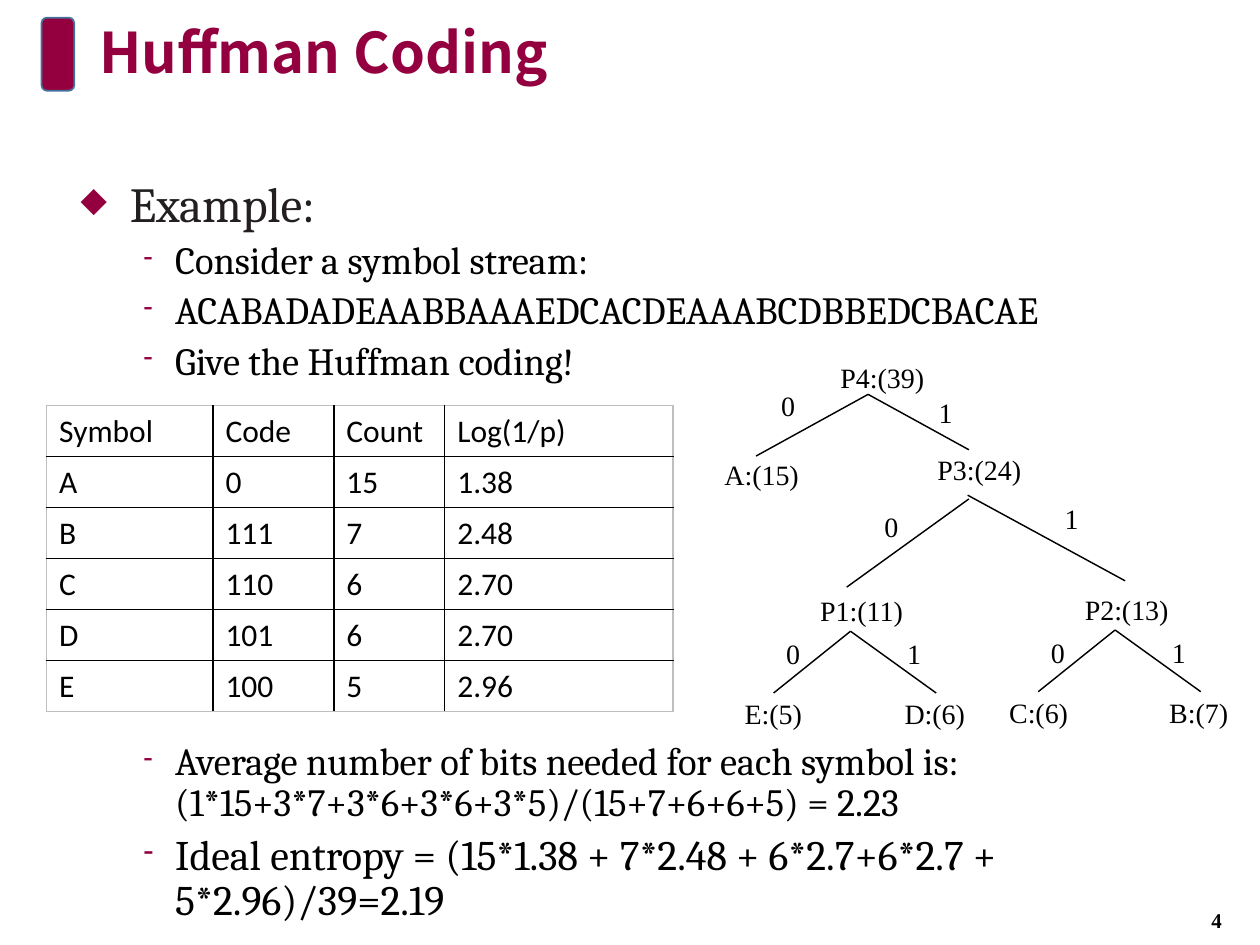
from lxml.etree import SubElement
from pptx import Presentation
from pptx.dml.color import RGBColor
from pptx.enum.shapes import MSO_CONNECTOR, MSO_SHAPE
from pptx.enum.text import MSO_ANCHOR, PP_ALIGN
from pptx.oxml import parse_xml
from pptx.oxml.ns import nsdecls, qn
from pptx.util import Inches, Pt

WINE, BLACK, GREY = "94003F", "000000", "BFBFBF"
ROMAN = "Times New Roman"
ROWS = [
    ("Symbol", "Code", "Count", "Log(1/p)"),
    ("A", "0", "15", "1.38"),
    ("B", "111", "7", "2.48"),
    ("C", "110", "6", "2.70"),
    ("D", "101", "6", "2.70"),
    ("E", "100", "5", "2.96"),
]
WIDTHS = (1.32, 0.96, 0.88, 1.81)
TASK = [
    ("Example:", 0, 28, "231F20"),
    ("Consider a symbol stream:", 1, 22, BLACK),
    ("ACABADADEAABBAAAEDCACDEAAABCDBBEDCBACAE", 1, 22, BLACK),
    ("Give the Huffman coding!", 1, 22, BLACK),
]
RESULT = [
    ("Average number of bits needed for each symbol is: "
     "(1*15+3*7+3*6+3*6+3*5)/(15+7+6+6+5) = 2.23", 1, 22, BLACK),
    ("Ideal entropy = (15*1.38 + 7*2.48 + 6*2.7+6*2.7 + 5*2.96)/39=2.19", 1, 24, BLACK),
]
TOP_EDGES = [
    (6.89, 3.13, 6, 3.62), (6.89, 3.13, 7.69, 3.57),
    (7.69, 3.96, 6.72, 4.66), (7.68, 3.93, 8.93, 4.61),
]
TOP_LABELS = [
    ("P4:(39)", 6.66, 2.86), ("A:(15)", 5.74, 3.63), ("P3:(24)", 7.43, 3.59),
    ("0", 6.19, 3.08), ("1", 7.44, 3.14), ("0", 7.01, 4.04), ("1", 8.44, 3.98),
]


def color(code):
    """Turn a hex string into a colour."""
    return RGBColor.from_string(code)


def style(para, size, face, code, bold=False):
    """Format every run of a paragraph."""
    for run in para.runs:
        font = run.font
        font.size, font.name, font.bold = Pt(size), face, bold
        font.color.rgb = color(code)


def add_box(slide, left, top, width, height, inset=True):
    """Add a wrapping text box and return its frame."""
    box = slide.shapes.add_textbox(Inches(left), Inches(top), Inches(width), Inches(height))
    frame = box.text_frame
    frame.word_wrap = True
    if not inset:
        frame.margin_left = frame.margin_right = 0
        frame.margin_top = frame.margin_bottom = 0
    return frame


def add_title(slide, text):
    """Add the marker and the heading."""
    mark = slide.shapes.add_shape(
        MSO_SHAPE.ROUNDED_RECTANGLE, Inches(0.33), Inches(0.14), Inches(0.26), Inches(0.58))
    mark.shadow.inherit = False
    mark.fill.solid()
    mark.fill.fore_color.rgb = color(WINE)
    mark.line.color.rgb = color("43739E")
    mark.line.width = Pt(1)
    frame = add_box(slide, 0.69, 0.15, 8.62, 0.58)
    frame.vertical_anchor = MSO_ANCHOR.MIDDLE
    frame.text = text
    para = frame.paragraphs[0]
    para.line_spacing = 0.9
    style(para, 32, "Noto Sans CJK SC", WINE, True)


def add_number(slide, text):
    """Add the page number."""
    frame = add_box(slide, 9.23, 7.1, 0.85, 0.4)
    frame.vertical_anchor = MSO_ANCHOR.MIDDLE
    frame.text = text
    para = frame.paragraphs[0]
    para.alignment = PP_ALIGN.CENTER
    style(para, 12, ROMAN, BLACK, True)


def set_bullet(para, level):
    """Give a paragraph its bullet and hanging indent."""
    mark, left, hang = (("◆", 0.39, 0.39), ("-", 0.75, 0.25))[level]
    props = para._p.get_or_add_pPr()
    props.set("marL", str(Inches(left)))
    props.set("indent", str(-Inches(hang)))
    tint = SubElement(props, qn("a:buClr"))
    SubElement(tint, qn("a:srgbClr"), val=WINE)
    SubElement(props, qn("a:buSzPct"), val="70000")
    SubElement(props, qn("a:buChar"), char=mark)


def add_list(slide, top, height, items):
    """Add a bulleted list."""
    frame = add_box(slide, 0.64, top, 8.48, height, inset=False)
    for index, (text, level, size, code) in enumerate(items):
        para = frame.add_paragraph() if index else frame.paragraphs[0]
        para.text = text
        para.level = level
        set_bullet(para, level)
        if level:
            para.line_spacing = 0.9
        if index:
            para.space_before = Pt(5)
        style(para, size, "Cambria", code)


def set_borders(cell, codes):
    """Draw the left, right, top and bottom borders of a cell."""
    props = cell._tc.get_or_add_tcPr()
    for place, (side, code) in enumerate(zip("LRTB", codes)):
        props.insert(place, parse_xml(
            f'<a:ln{side} {nsdecls("a")} w="12700"><a:solidFill>'
            f'<a:srgbClr val="{code}"/></a:solidFill></a:ln{side}>'))


def add_codes(slide):
    """Add the table of symbols and codes."""
    count, span = len(ROWS), len(WIDTHS)
    table = slide.shapes.add_table(
        count, span, Inches(0.37), Inches(3.22), Inches(sum(WIDTHS)), Inches(2.43)).table
    table.first_row = table.horz_banding = False
    for col, width in zip(table.columns, WIDTHS):
        col.width = Inches(width)
    for i, row in enumerate(ROWS):
        for j, text in enumerate(row):
            cell = table.cell(i, j)
            cell.text = text
            style(cell.text_frame.paragraphs[0], 18, "Calibri", BLACK)
            cell.fill.background()
            outer = (j == 0, j == span - 1, i == 0, i == count - 1)
            set_borders(cell, [GREY if edge else BLACK for edge in outer])


def add_edge(slide, x1, y1, x2, y2):
    """Draw one branch of the tree."""
    line = slide.shapes.add_connector(
        MSO_CONNECTOR.STRAIGHT, Inches(x1), Inches(y1), Inches(x2), Inches(y2))
    line.line.color.rgb = color(BLACK)
    line.line.width = Pt(0.81)
    SubElement(line._element.spPr, qn("a:effectLst"))


def add_label(slide, text, left, top):
    """Write a node name or a branch bit."""
    width = 0.14 if len(text) == 1 else 0.8
    frame = add_box(slide, left + 0.01, top, width, 0.28, inset=False)
    frame.text = text
    style(frame.paragraphs[0], 16, ROMAN, BLACK)


def add_pair(slide, x, y, root, low, high):
    """Draw a node at the given point with its two leaves."""
    add_edge(slide, x, y, x - 0.61, y + 0.49)
    add_edge(slide, x, y, x + 0.68, y + 0.49)
    add_label(slide, root, x - 0.25, y - 0.3)
    add_label(slide, low, x - 0.85, y + 0.52)
    add_label(slide, high, x + 0.42, y + 0.52)
    add_label(slide, "0", x - 0.52, y + 0.04)
    add_label(slide, "1", x + 0.44, y + 0.04)


def add_tree(slide):
    """Draw the whole code tree."""
    for edge in TOP_EDGES:
        add_edge(slide, *edge)
    for label in TOP_LABELS:
        add_label(slide, *label)
    add_pair(slide, 6.75, 5.01, "P1:(11)", "E:(5)", "D:(6)")
    add_pair(slide, 8.85, 5, "P2:(13)", "C:(6)", "B:(7)")


def main():
    """Build and save the slide."""
    deck = Presentation()
    deck.slide_width, deck.slide_height = Inches(10), Inches(7.5)
    slide = deck.slides.add_slide(deck.slide_layouts[6])
    add_title(slide, "Huffman Coding")
    add_number(slide, "4")
    add_list(slide, 1.38, 1.7, TASK)
    add_list(slide, 5.89, 1.55, RESULT)
    add_tree(slide)
    add_codes(slide)
    deck.save("out.pptx")


if __name__ == "__main__":
    main()
